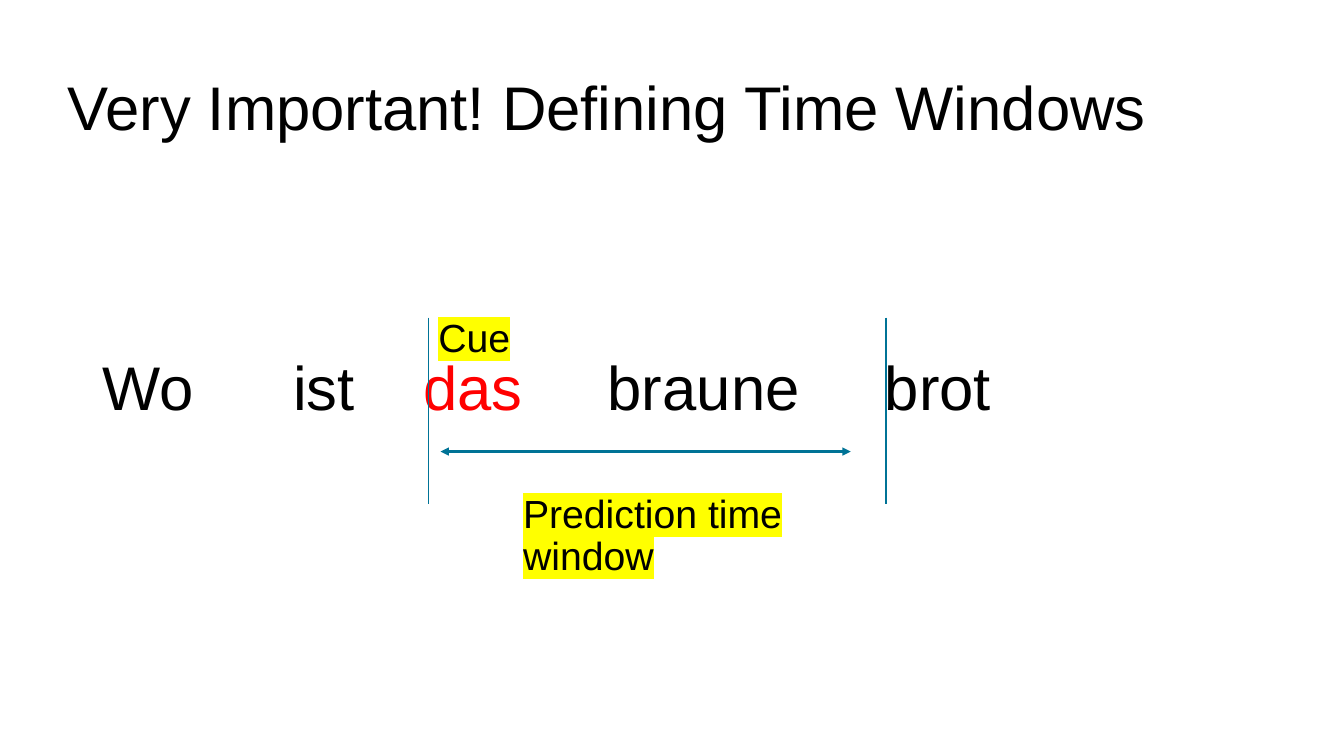
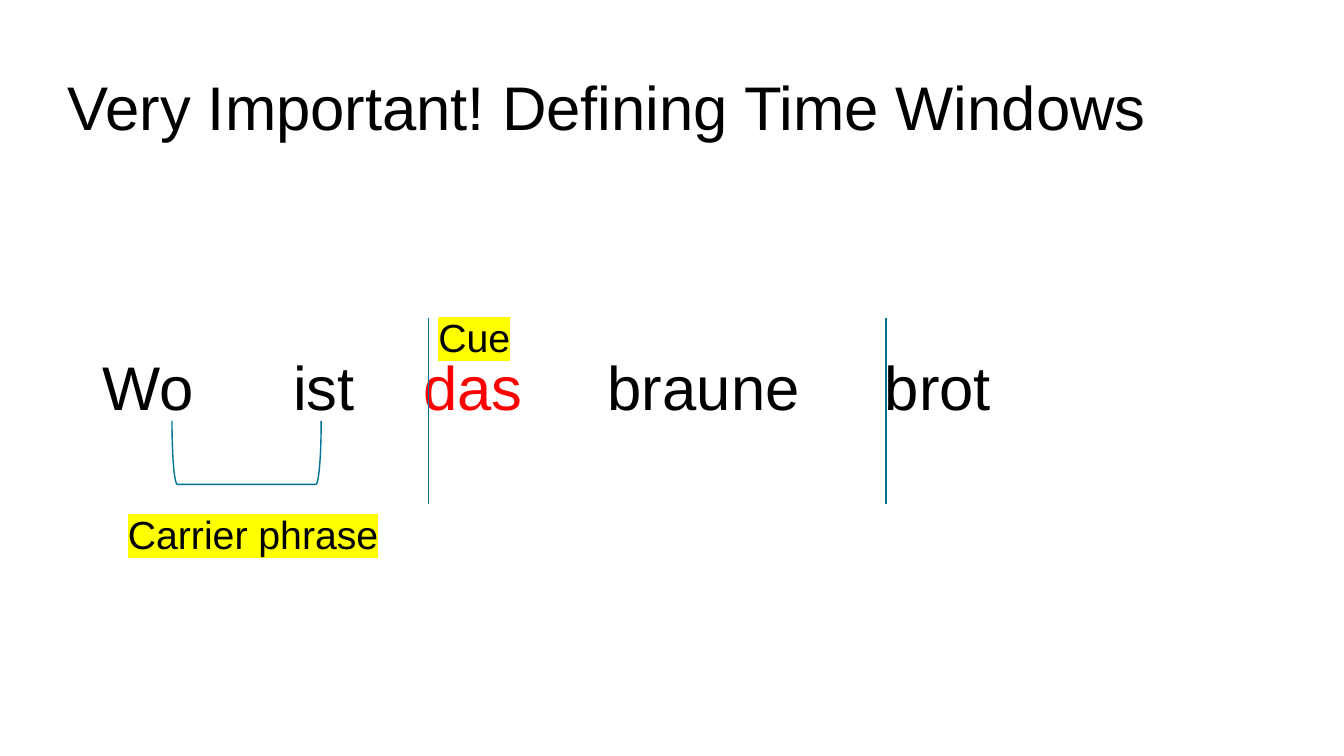
import dataclasses
import lxml.etree
import pptx
import pptx.dml.color
import pptx.enum.shapes
import pptx.enum.text
import pptx.oxml.ns
import pptx.util


@dataclasses.dataclass(frozen=True)
class Theme:
    font: str = "Arial"
    ink: str = "000000"
    cue: str = "FF0000"
    line: str = "007396"
    marker: str = "FFFF00"
    large: int = 44
    small: int = 28
    spacing: float = 0.9
    thin: float = 1
    thick: float = 1.5


THEME = Theme()
WIDTH = pptx.util.Inches(13.33)
HEIGHT = pptx.util.Inches(7.5)

TITLE = "Very Important! Defining Time Windows"
WORDS = ("Wo", "ist", "das", "braune", "brot")
CUE_WORD = "das"
WORD_TABS = (14.18, 23.85, 37.58, 58.2)
TITLE_AREA = (4.28, 4.93, 86.25, 19.33)
SENTENCE_AREA = (6.9, 42, 86.25, 19.33)
CUE_AREA = (31.88, 37.33, 7.73, 15.2)
LABEL_TOP, LABEL_WIDTH, LABEL_HEIGHT = 61.33, 21.53, 19.33
WINDOW_EDGES = (31.88, 65.93)
EDGE_TOP, EDGE_BOTTOM = 42, 66.67


def across(percent):
    return round(WIDTH * percent / 100)


def down(percent):
    return round(HEIGHT * percent / 100)


def place(area):
    left, top, width, height = area
    return across(left), down(top), across(width), down(height)


def colour(value):
    return pptx.dml.color.RGBColor.from_string(value)


def add_element(parent, name, **attributes):
    element = lxml.etree.SubElement(parent, pptx.oxml.ns.qn(name))
    for key, value in attributes.items():
        element.set(key, str(value))
    return element


def style_box(box, size):
    frame = box.text_frame
    frame.word_wrap = True
    frame.vertical_anchor = pptx.enum.text.MSO_ANCHOR.MIDDLE
    para = frame.paragraphs[0]
    para.alignment = pptx.enum.text.PP_ALIGN.LEFT
    para.line_spacing = THEME.spacing
    para.font.name = THEME.font
    para.font.size = pptx.util.Pt(size)
    para.font.color.rgb = colour(THEME.ink)


def add_title(page):
    box = page.shapes.title
    box.left, box.top, box.width, box.height = place(TITLE_AREA)
    box.text_frame.text = TITLE
    style_box(box, THEME.large)


def add_sentence(page):
    box = page.shapes.add_textbox(*place(SENTENCE_AREA))
    para = box.text_frame.paragraphs[0]
    tabs = add_element(para._p.get_or_add_pPr(), "a:tabLst")
    for stop in WORD_TABS:
        add_element(tabs, "a:tab", pos=across(stop), algn="l")
    for index, word in enumerate(WORDS):
        span = para.add_run()
        span.text = "\t" + word if index else word
        if word == CUE_WORD:
            span.font.color.rgb = colour(THEME.cue)
    style_box(box, THEME.large)


def add_label(page, text, area):
    box = page.shapes.add_textbox(*place(area))
    span = box.text_frame.paragraphs[0].add_run()
    span.text = text
    highlight = add_element(span._r.get_or_add_rPr(), "a:highlight")
    add_element(highlight, "a:srgbClr", val=THEME.marker)
    style_box(box, THEME.small)


def add_line(page, start, end, weight, arrows=False):
    line = page.shapes.add_connector(
        pptx.enum.shapes.MSO_CONNECTOR.STRAIGHT,
        across(start[0]), down(start[1]), across(end[0]), down(end[1]))
    line.line.color.rgb = colour(THEME.line)
    line.line.width = pptx.util.Pt(weight)
    if arrows:
        outline = line._element.spPr.find(pptx.oxml.ns.qn("a:ln"))
        for name in ("a:headEnd", "a:tailEnd"):
            add_element(outline, name, type="triangle")
    add_element(line._element.spPr, "a:effectLst")


def add_bracket(page, area):
    bracket = page.shapes.add_shape(
        pptx.enum.shapes.MSO_SHAPE.RIGHT_BRACKET, *place(area))
    bracket.rotation = 90
    bracket.shadow.inherit = False
    bracket.fill.background()
    bracket.line.color.rgb = colour(THEME.line)
    bracket.line.width = pptx.util.Pt(THEME.thin)


def add_sentence_page(deck, label, label_left):
    page = deck.slides.add_slide(deck.slide_layouts[5])
    add_title(page)
    add_sentence(page)
    for edge in WINDOW_EDGES:
        add_line(page, (edge, EDGE_TOP), (edge, EDGE_BOTTOM), THEME.thin)
    add_label(page, label, (label_left, LABEL_TOP, LABEL_WIDTH, LABEL_HEIGHT))
    add_label(page, "Cue", CUE_AREA)
    return page


def main():
    deck = pptx.Presentation()
    deck.slide_width, deck.slide_height = WIDTH, HEIGHT
    prediction = add_sentence_page(deck, "Prediction time window", 38.18)
    add_line(prediction, (32.78, 59.73), (63.3, 59.73), THEME.thick, arrows=True)
    carrier = add_sentence_page(deck, "Carrier phrase", 8.78)
    add_bracket(carrier, (15.98, 50, 4.73, 19.73))
    deck.save("out.pptx")


if __name__ == "__main__":
    main()
